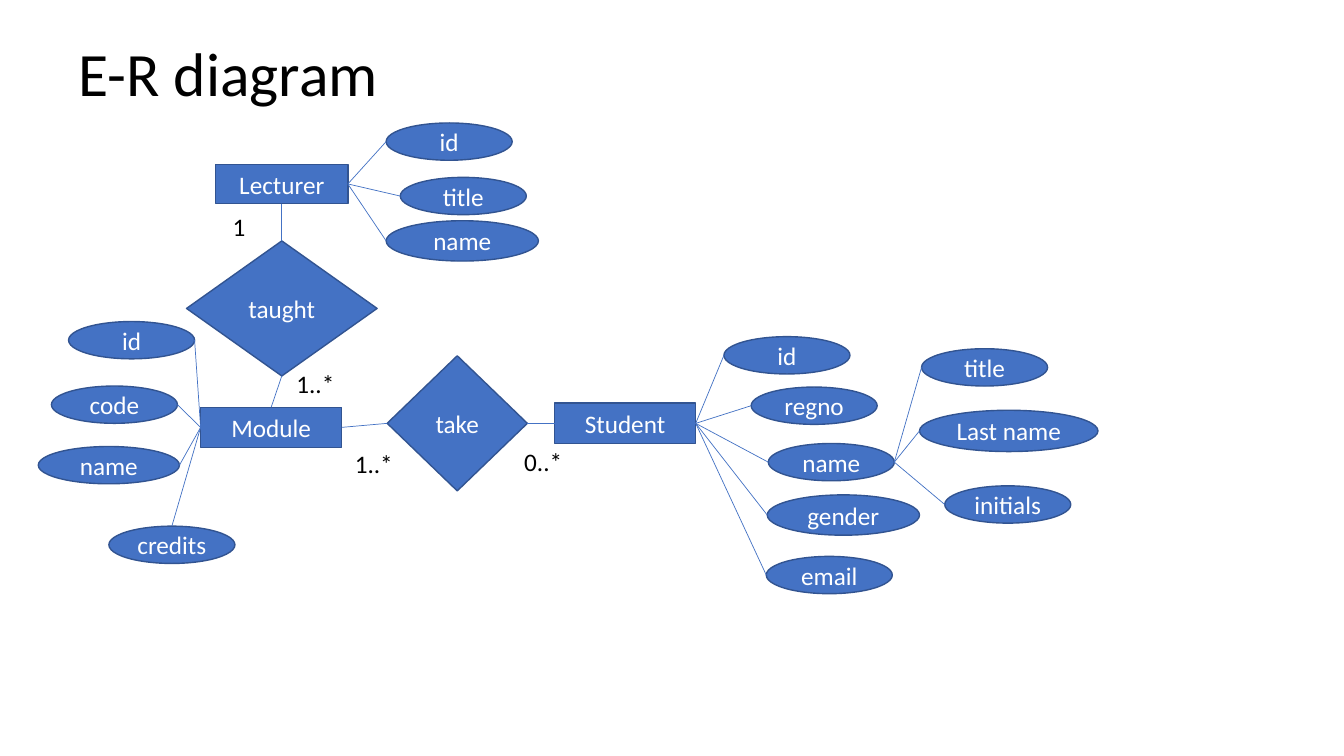
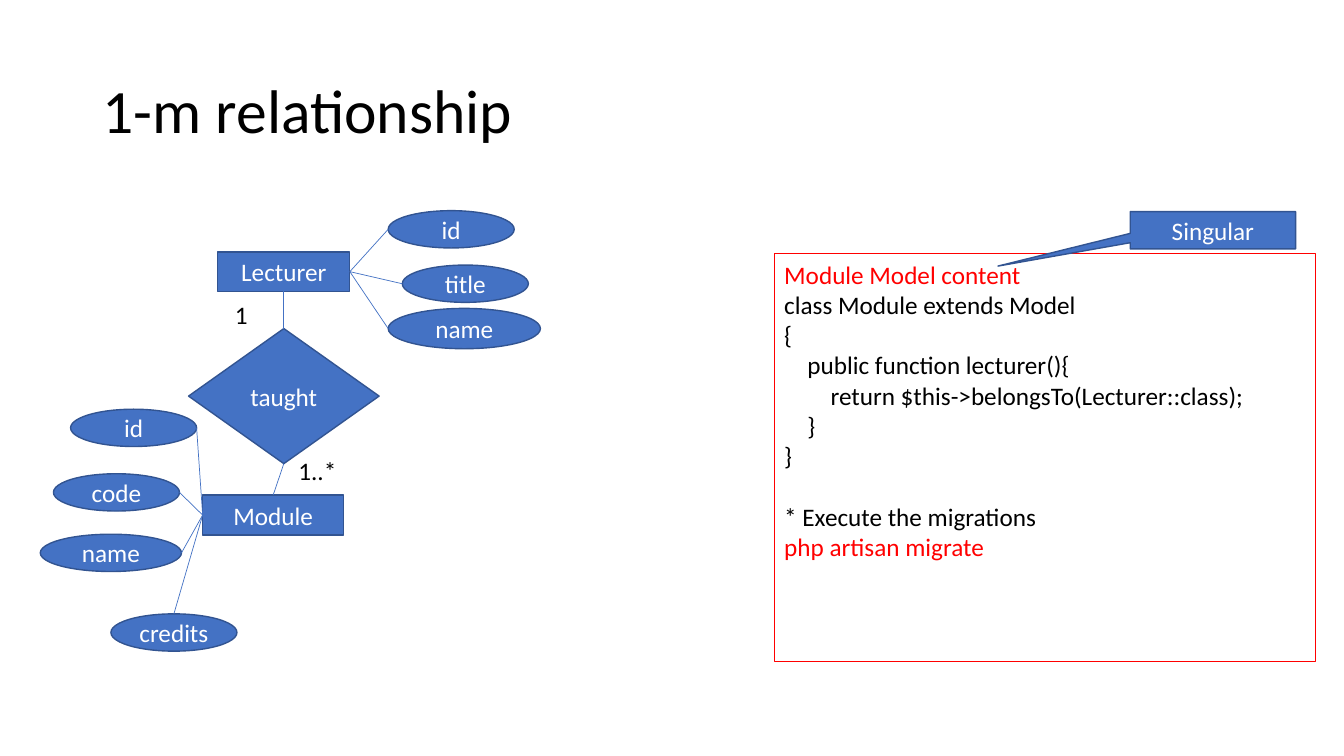
from lxml.etree import SubElement
from pptx import Presentation
from pptx.dml.color import RGBColor
from pptx.enum.shapes import MSO_CONNECTOR, MSO_SHAPE as SHAPE
from pptx.enum.text import MSO_ANCHOR as ANCHOR, PP_ALIGN as ALIGN
from pptx.oxml.ns import qn
from pptx.util import Inches, Pt

BLUE = RGBColor(0x44, 0x72, 0xC4)
NAVY = RGBColor(0x32, 0x54, 0x91)
RED = RGBColor(0xFF, 0, 0)
BLACK = RGBColor(0, 0, 0)
WHITE = RGBColor(0xFF, 0xFF, 0xFF)
FONT = "Calibri"
TOP, LEFT, BOTTOM, RIGHT = range(4)
SMALL, MEDIUM, LARGE, WIDE = (1.25, 0.37), (1.4, 0.37), (1.51, 0.4), (1.77, 0.41)
LABEL_SIZE = (0.61, 0.4)
INDENT = 0.23

TEACHING = {
    "nodes": {
        "Lecturer": (SHAPE.RECTANGLE, 2.14, 1.63, 1.31, 0.39),
        "taught": (SHAPE.DIAMOND, 1.85, 2.39, 1.89, 1.34),
        "Module": (SHAPE.RECTANGLE, 1.99, 4.04, 1.4, 0.4),
    },
    "attributes": [
        ("Lecturer", RIGHT, [("id", 3.83, 1.22, SMALL, LEFT),
                             ("title", 3.97, 1.76, SMALL, LEFT),
                             ("name", 3.83, 2.19, LARGE, LEFT)]),
        ("Module", LEFT, [("id", 0.68, 3.19, SMALL, RIGHT),
                          ("code", 0.51, 3.83, SMALL, RIGHT),
                          ("name", 0.38, 4.43, MEDIUM, RIGHT),
                          ("credits", 1.08, 5.22, SMALL, TOP)]),
    ],
    "links": [("Lecturer", BOTTOM, "taught", TOP), ("taught", BOTTOM, "Module", TOP)],
    "labels": [("1", 2.21, 2.05), ("1..*", 2.84, 3.6)],
}
ENROLMENT = {
    "nodes": {
        "take": (SHAPE.DIAMOND, 3.84, 3.53, 1.39, 1.34),
        "Student": (SHAPE.RECTANGLE, 5.5, 4, 1.4, 0.4),
    },
    "attributes": [
        ("Student", RIGHT, [("id", 7.18, 3.34, SMALL, LEFT),
                            ("regno", 7.45, 3.84, SMALL, LEFT),
                            ("name", 7.62, 4.4, SMALL, LEFT),
                            ("gender", 7.61, 4.91, LARGE, LEFT),
                            ("email", 7.6, 5.52, SMALL, LEFT)]),
        ("Student.name", RIGHT, [("title", 9.14, 3.46, SMALL, LEFT),
                                 ("Last name", 9.12, 4.07, WIDE, LEFT),
                                 ("initials", 9.37, 4.82, SMALL, LEFT)]),
    ],
    "links": [("Module", RIGHT, "take", LEFT), ("take", RIGHT, "Student", LEFT)],
    "labels": [("1..*", 3.42, 4.4), ("0..*", 5.1, 4.38)],
}
SLIDES = [
    {"title": ("E-R diagram", 0.68, 0.36, 11.5, 0.79),
     "diagrams": [TEACHING, ENROLMENT], "shift": (0, 0)},
    {"title": ("1-m relationship", 0.92, 0.4, 11.5, 1.45),
     "diagrams": [TEACHING], "shift": (0.02, 0.87)},
]
CODE = [
    ("Module Model content", 0, RED, 0),
    ("class Module extends Model", 0, BLACK, 0),
    ("{", 0, BLACK, 0),
    ("public function lecturer(){", 1, BLACK, 0),
    ("return $this->belongsTo(Lecturer::class);", 2, BLACK, 0),
    ("}", 1, BLACK, 0),
    ("}", 0, BLACK, 0),
    ("* Execute the migrations", 0, BLACK, 22),
    ("php artisan migrate", 0, RED, 0),
]


def style(p, color, size=18):
    p.font.name, p.font.size, p.font.color.rgb = FONT, Pt(size), color


def add_text(s, text, x, y, w, h, size=18, anchor=ANCHOR.TOP):
    tf = s.shapes.add_textbox(*map(Inches, (x, y, w, h))).text_frame
    tf.word_wrap, tf.vertical_anchor = True, anchor
    p = tf.paragraphs[0]
    p.text = text
    style(p, BLACK, size)
    return p


def add_node(s, text, kind, x, y, w, h):
    sp = s.shapes.add_shape(kind, *map(Inches, (x, y, w, h)))
    sp.shadow.inherit = False
    sp.fill.solid()
    sp.fill.fore_color.rgb = BLUE
    sp.line.color.rgb, sp.line.width = NAVY, Pt(1)
    tf = sp.text_frame
    tf.word_wrap, tf.vertical_anchor = True, ANCHOR.MIDDLE
    tf.margin_left = tf.margin_right = 0
    p = tf.paragraphs[0]
    p.text, p.alignment = text, ALIGN.CENTER
    style(p, WHITE)
    return sp


def side_point(sp, side):
    fx, fy = [(0.5, 0), (0, 0.5), (0.5, 1), (1, 0.5)][side]
    return int(sp.left + fx * sp.width), int(sp.top + fy * sp.height)


def add_link(s, a, a_side, b, b_side):
    line = s.shapes.add_connector(MSO_CONNECTOR.STRAIGHT,
                                  *side_point(a, a_side), *side_point(b, b_side))
    if a.auto_shape_type != SHAPE.OVAL:
        line.begin_connect(a, a_side)
    if b.auto_shape_type != SHAPE.OVAL:
        line.end_connect(b, b_side)
    line.line.color.rgb, line.line.width = BLUE, Pt(0.5)
    SubElement(line._element.spPr, qn("a:effectLst"))


def add_diagram(s, diagram, nodes, dx, dy):
    for name, (kind, x, y, w, h) in diagram["nodes"].items():
        nodes[name] = add_node(s, name, kind, x + dx, y + dy, w, h)
    for owner, side, attributes in diagram["attributes"]:
        for name, x, y, size, end in attributes:
            oval = add_node(s, name, SHAPE.OVAL, x + dx, y + dy, *size)
            nodes[f"{owner}.{name}"] = oval
            add_link(s, nodes[owner], side, oval, end)
    for a, a_side, b, b_side in diagram["links"]:
        add_link(s, nodes[a], a_side, nodes[b], b_side)
    for text, x, y in diagram["labels"]:
        add_text(s, text, x + dx, y + dy, *LABEL_SIZE)


def add_code(s):
    box = s.shapes.add_textbox(*map(Inches, (7.68, 2.52, 5.37, 4.04)))
    box.line.color.rgb, box.line.width = RED, Pt(0.75)
    tf = box.text_frame
    tf.word_wrap = True
    for i, (text, level, color, gap) in enumerate(CODE):
        p = tf.add_paragraph() if i else tf.paragraphs[0]
        p.text, p.space_before = text, Pt(gap)
        p._p.get_or_add_pPr().set("marL", str(Inches(INDENT * level)))
        style(p, color)
    callout = add_node(s, "Singular", SHAPE.RECTANGULAR_CALLOUT, 11.21, 2.1, 1.64, 0.37)
    callout.adjustments[0], callout.adjustments[1] = -1.3, 0.96


def main():
    prs = Presentation()
    prs.slide_width, prs.slide_height = Inches(13.33), Inches(7.5)
    for content in SLIDES:
        s = prs.slides.add_slide(prs.slide_layouts[6])
        title = add_text(s, *content["title"], size=44, anchor=ANCHOR.MIDDLE)
        title.line_spacing = 0.9
        nodes = {}
        for diagram in content["diagrams"]:
            add_diagram(s, diagram, nodes, *content["shift"])
    add_code(s)
    prs.save("out.pptx")


if __name__ == "__main__":
    main()
